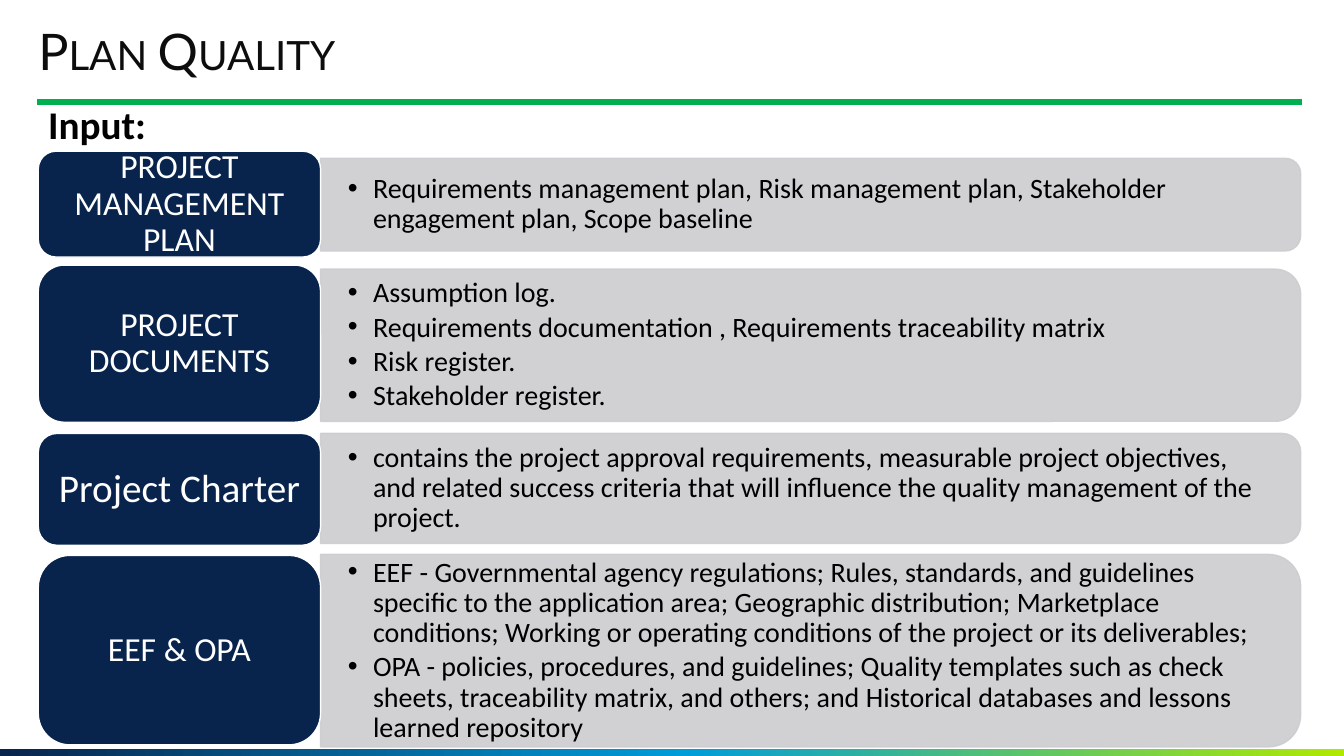
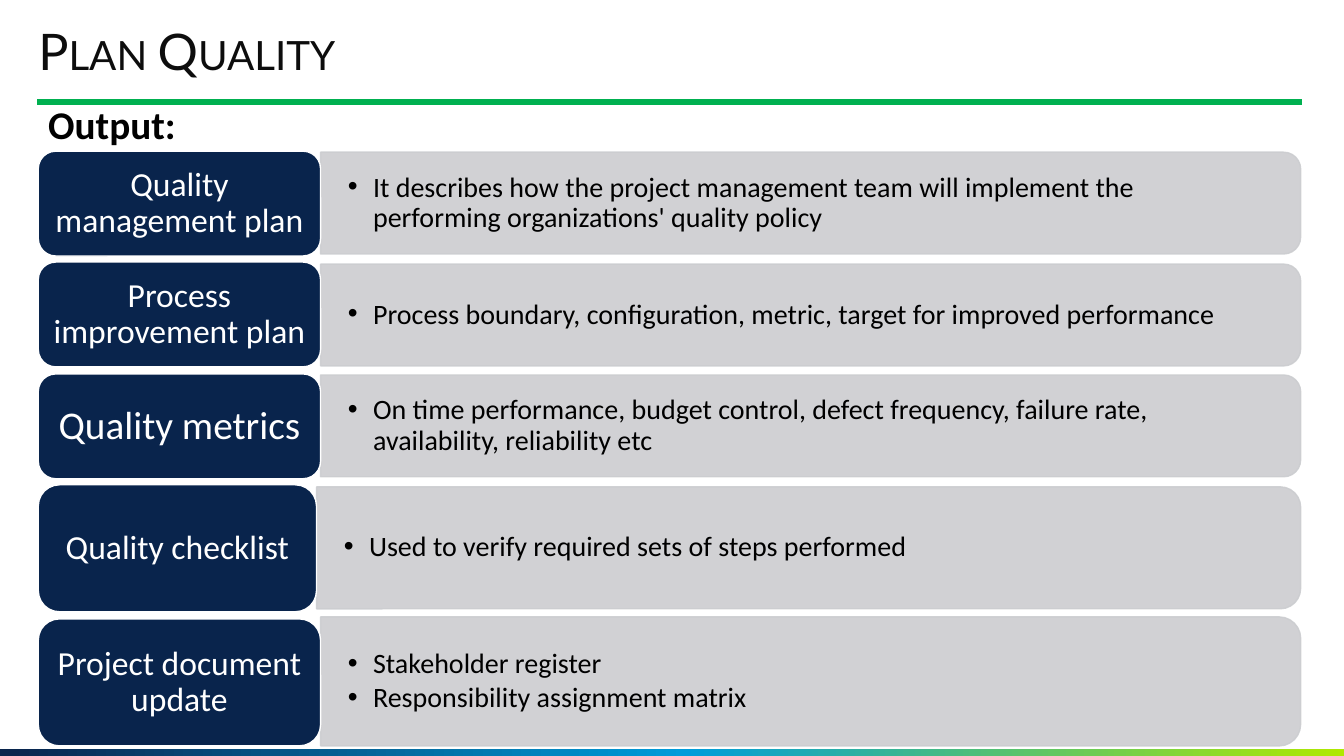
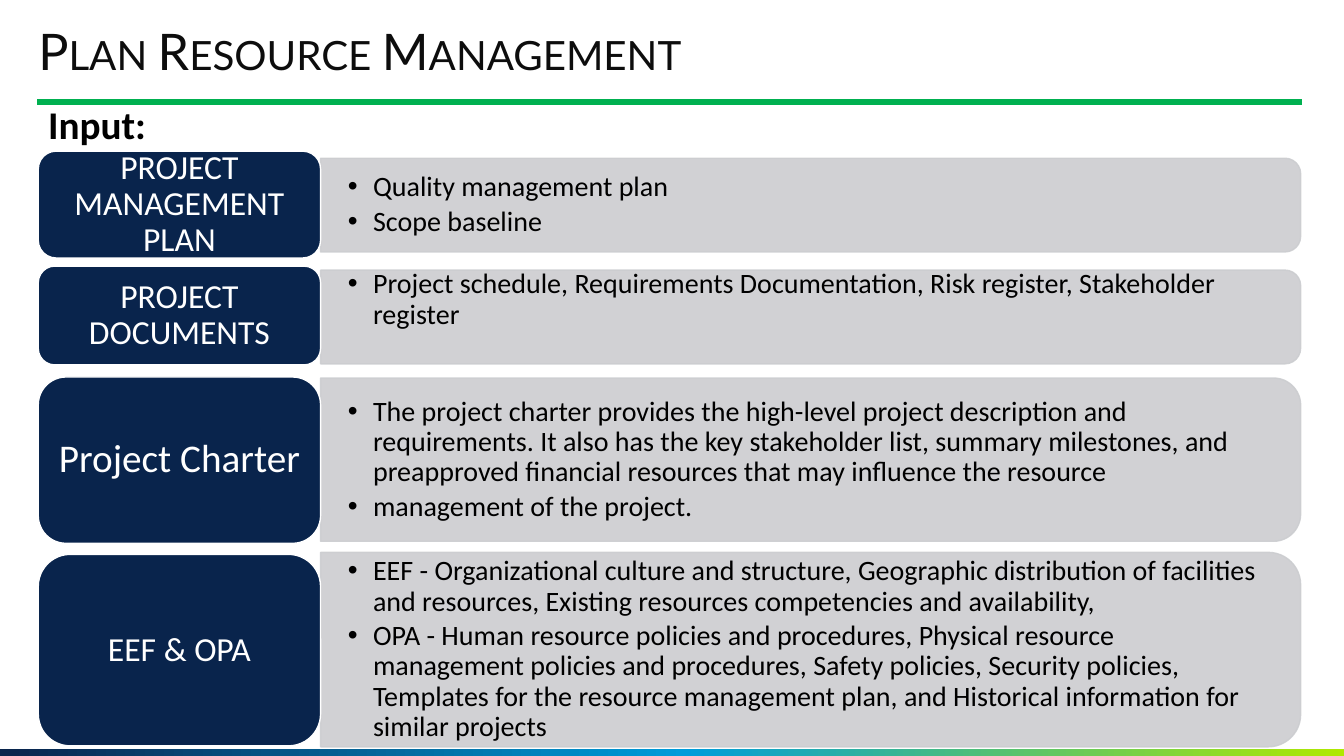
from copy import deepcopy
from dataclasses import dataclass

from lxml.etree import SubElement
from pptx import Presentation
from pptx.dml.color import RGBColor
from pptx.enum.shapes import MSO_CONNECTOR, MSO_SHAPE
from pptx.enum.text import MSO_ANCHOR, PP_ALIGN
from pptx.oxml.ns import qn
from pptx.util import Inches, Pt

NAVY, GREEN, GREY = "09244C", "00B050", "CCCDD0"
WHITE, BLACK, TITLE_COLOR = "FFFFFF", "000000", "0D0D0D"
BAND_STOPS = ((0, NAVY), (0.51, "009CDA"), (1, "B0E900"))
TITLE_FONT, BODY_FONT = "Lato", "Calibri"
SLIDE_WIDTH, SLIDE_HEIGHT = 13.33, 7.5
LEFT, SPLIT, RIGHT = 0.38, 3.18, 12.9
PANEL_OPACITY = 90
CORNER_INSET = 0.05


@dataclass
class Row:
    label: str
    bullets: list
    label_top: float
    label_height: float
    panel_top: float
    panel_height: float
    label_size: int = 24
    split: float = SPLIT
    text_shift: float = 0


def color(hex_string):
    return RGBColor.from_string(hex_string)


def paint(shape, fill, line):
    shape.shadow.inherit = False
    shape.fill.solid()
    shape.fill.fore_color.rgb = color(fill)
    shape.line.color.rgb = color(line)
    shape.line.width = Pt(1)


def set_opacity(shape, percent):
    for rgb in shape._element.spPr.iter(qn("a:srgbClr")):
        SubElement(rgb, qn("a:alpha")).set("val", str(percent * 1000))


def set_insets(text_frame, horizontal, vertical):
    text_frame.margin_left = text_frame.margin_right = Inches(horizontal)
    text_frame.margin_top = text_frame.margin_bottom = Inches(vertical)


def style_paragraph(paragraph, size, hex_string, font=BODY_FONT, bold=False):
    paragraph.line_spacing = 0.9
    for run in paragraph.runs:
        run.font.size = Pt(size)
        run.font.name = font
        run.font.bold = bold
        run.font.color.rgb = color(hex_string)


def add_bullet(paragraph):
    properties = paragraph._p.get_or_add_pPr()
    properties.set("marL", str(Inches(0.25)))
    properties.set("indent", str(-Inches(0.25)))
    SubElement(properties, qn("a:buFont")).set("typeface", "Arial")
    SubElement(properties, qn("a:buChar")).set("char", "•")


def add_text_box(slide, left, top, width, height):
    box = slide.shapes.add_textbox(Inches(left), Inches(top), Inches(width), Inches(height))
    box.text_frame.word_wrap = True
    return box.text_frame


def add_band(slide):
    height = 0.07
    band = slide.shapes.add_shape(
        MSO_SHAPE.RECTANGLE, 0, Inches(SLIDE_HEIGHT - height), Inches(SLIDE_WIDTH), Inches(height)
    )
    band.shadow.inherit = False
    band.line.fill.background()
    band.fill.gradient()
    band.fill.gradient_angle = 0
    stop_list = band._element.spPr.find(qn("a:gradFill")).find(qn("a:gsLst"))
    stop_list.append(deepcopy(stop_list[0]))
    for stop, (position, hex_string) in zip(band.fill.gradient_stops, BAND_STOPS):
        stop.position = position
        stop.color.rgb = color(hex_string)


def add_rule(slide):
    rule = slide.shapes.add_connector(
        MSO_CONNECTOR.STRAIGHT, Inches(0.37), Inches(1.01), Inches(12.91), Inches(1.01)
    )
    rule.line.color.rgb = color(GREEN)
    rule.line.width = Pt(4.5)
    SubElement(rule._element.spPr, qn("a:effectLst"))


def add_headings(slide, title, subtitle):
    title_frame = add_text_box(slide, LEFT, 0.27, 11.19, 0.55)
    set_insets(title_frame, 0, 0)
    title_frame.text = title
    paragraph = title_frame.paragraphs[0]
    style_paragraph(paragraph, 36, TITLE_COLOR, TITLE_FONT)
    paragraph.runs[0].font._element.set("cap", "small")

    subtitle_frame = add_text_box(slide, LEFT, 1, 12.53, 0.55)
    subtitle_frame.text = subtitle
    style_paragraph(subtitle_frame.paragraphs[0], 28, BLACK, bold=True)


def add_panel(slide, left, top, width, height):
    panel = slide.shapes.add_shape(
        MSO_SHAPE.ROUND_2_SAME_RECTANGLE,
        Inches(left + (width - height) / 2),
        Inches(top + (height - width) / 2),
        Inches(height),
        Inches(width),
    )
    panel.rotation = 90
    paint(panel, GREY, GREY)
    set_opacity(panel, PANEL_OPACITY)


def add_bullets(slide, bullets, left, top, width, height):
    inset = CORNER_INSET * height
    text_frame = add_text_box(slide, left, top + inset, width - inset, height - 2 * inset)
    set_insets(text_frame, 0.27, 0.14)
    text_frame.vertical_anchor = MSO_ANCHOR.MIDDLE
    text_frame.text = "\n".join(bullets)
    for paragraph in text_frame.paragraphs:
        add_bullet(paragraph)
        style_paragraph(paragraph, 20, BLACK)
        paragraph.space_after = Pt(3)


def add_label(slide, text, size, left, top, width, height):
    label = slide.shapes.add_shape(
        MSO_SHAPE.ROUNDED_RECTANGLE, Inches(left), Inches(top), Inches(width), Inches(height)
    )
    paint(label, NAVY, WHITE)
    text_frame = label.text_frame
    text_frame.word_wrap = True
    text_frame.vertical_anchor = MSO_ANCHOR.MIDDLE
    set_insets(text_frame, size / 240, size / 480)
    text_frame.text = text
    paragraph = text_frame.paragraphs[0]
    paragraph.alignment = PP_ALIGN.CENTER
    style_paragraph(paragraph, size, WHITE)


def add_row(slide, row):
    width = RIGHT - row.split
    add_panel(slide, row.split, row.panel_top, width, row.panel_height)
    add_bullets(
        slide, row.bullets, row.split, row.panel_top + row.text_shift, width, row.panel_height
    )
    add_label(
        slide, row.label, row.label_size, LEFT, row.label_top, row.split - LEFT, row.label_height
    )


def add_process_slide(presentation, title, subtitle, rows):
    slide = presentation.slides.add_slide(presentation.slide_layouts[6])
    add_band(slide)
    add_rule(slide)
    add_headings(slide, title, subtitle)
    for row in rows:
        add_row(slide, row)


QUALITY_INPUTS = [
    Row("PROJECT MANAGEMENT PLAN", [
        "Requirements management plan, Risk management plan, Stakeholder engagement plan, "
        "Scope baseline",
    ], 1.5, 1.05, 1.57, 0.92),
    Row("PROJECT DOCUMENTS", [
        "Assumption log.",
        "Requirements documentation , Requirements traceability matrix",
        "Risk register.",
        "Stakeholder register.",
    ], 2.63, 1.56, 2.67, 1.51),
    Row("Project Charter", [
        "contains the project approval requirements, measurable project objectives, and related "
        "success criteria that will influence the quality management of the project.",
    ], 4.3, 1.11, 4.3, 1.09, label_size=28),
    Row("EEF & OPA", [
        "EEF - Governmental agency regulations; Rules, standards, and guidelines specific to the "
        "application area; Geographic distribution; Marketplace conditions; Working or operating "
        "conditions of the project or its deliverables;",
        "OPA - policies, procedures, and guidelines; Quality templates such as check sheets, "
        "traceability matrix, and others; and Historical databases and lessons learned repository",
    ], 5.51, 1.88, 5.5, 1.91),
]

QUALITY_OUTPUTS = [
    Row("Quality management plan", [
        "It describes how the project management team will implement the performing "
        "organizations' quality policy",
    ], 1.5, 1.04, 1.51, 1.01),
    Row("Process improvement plan", [
        "Process boundary, configuration, metric, target for improved performance",
    ], 2.6, 1.04, 2.62, 1.01),
    Row("Quality metrics", [
        "On time performance, budget control, defect frequency, failure rate, availability, "
        "reliability etc",
    ], 3.71, 1.04, 3.72, 1.01, label_size=28),
    Row("Quality checklist", [
        "Used to verify required sets of steps performed",
    ], 4.81, 1.26, 4.83, 1.21, split=3.14),
    Row("Project document update", [
        "Stakeholder register",
        "Responsibility assignment matrix",
    ], 6.14, 1.26, 6.12, 1.28),
]

RESOURCE_INPUTS = [
    Row("PROJECT MANAGEMENT PLAN", [
        "Quality management plan",
        "Scope baseline",
    ], 1.5, 1.06, 1.57, 0.93),
    Row("PROJECT DOCUMENTS", [
        "Project schedule, Requirements Documentation, Risk register, Stakeholder register",
    ], 2.64, 0.98, 2.68, 0.93, text_shift=-0.17),
    Row("Project Charter", [
        "The project charter provides the high-level project description and requirements. It "
        "also has the key stakeholder list, summary milestones, and preapproved financial "
        "resources that may influence the resource",
        "management of the project.",
    ], 3.74, 1.65, 3.75, 1.62, label_size=28),
    Row("EEF & OPA", [
        "EEF - Organizational culture and structure, Geographic distribution of facilities and "
        "resources, Existing resources competencies and availability,",
        "OPA - Human resource policies and procedures, Physical resource management policies and "
        "procedures, Safety policies, Security policies, Templates for the resource management "
        "plan, and Historical information for similar projects",
    ], 5.5, 1.9, 5.48, 1.93),
]


def main():
    presentation = Presentation()
    presentation.slide_width = Inches(SLIDE_WIDTH)
    presentation.slide_height = Inches(SLIDE_HEIGHT)
    add_process_slide(presentation, "Plan Quality", "Input:", QUALITY_INPUTS)
    add_process_slide(presentation, "Plan Quality", "Output:", QUALITY_OUTPUTS)
    add_process_slide(presentation, "Plan Resource Management", "Input:", RESOURCE_INPUTS)
    presentation.save("out.pptx")


if __name__ == "__main__":
    main()
